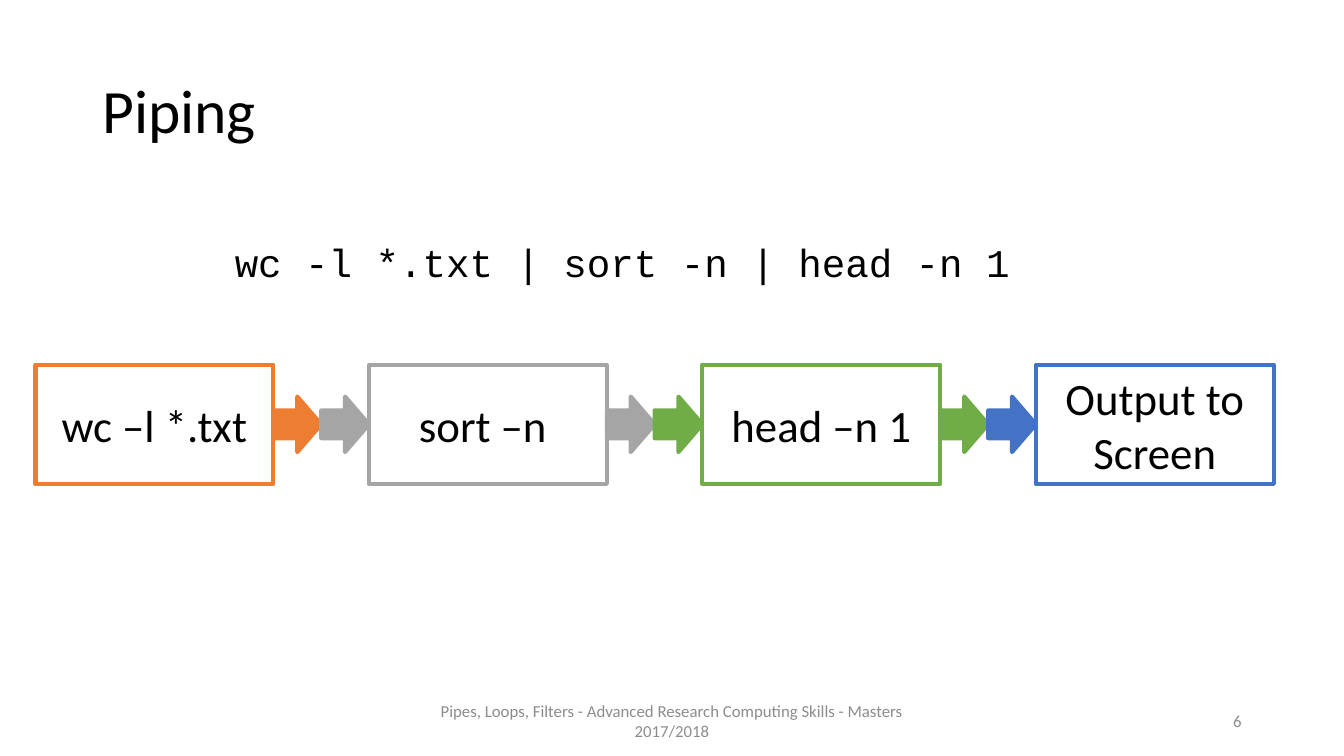
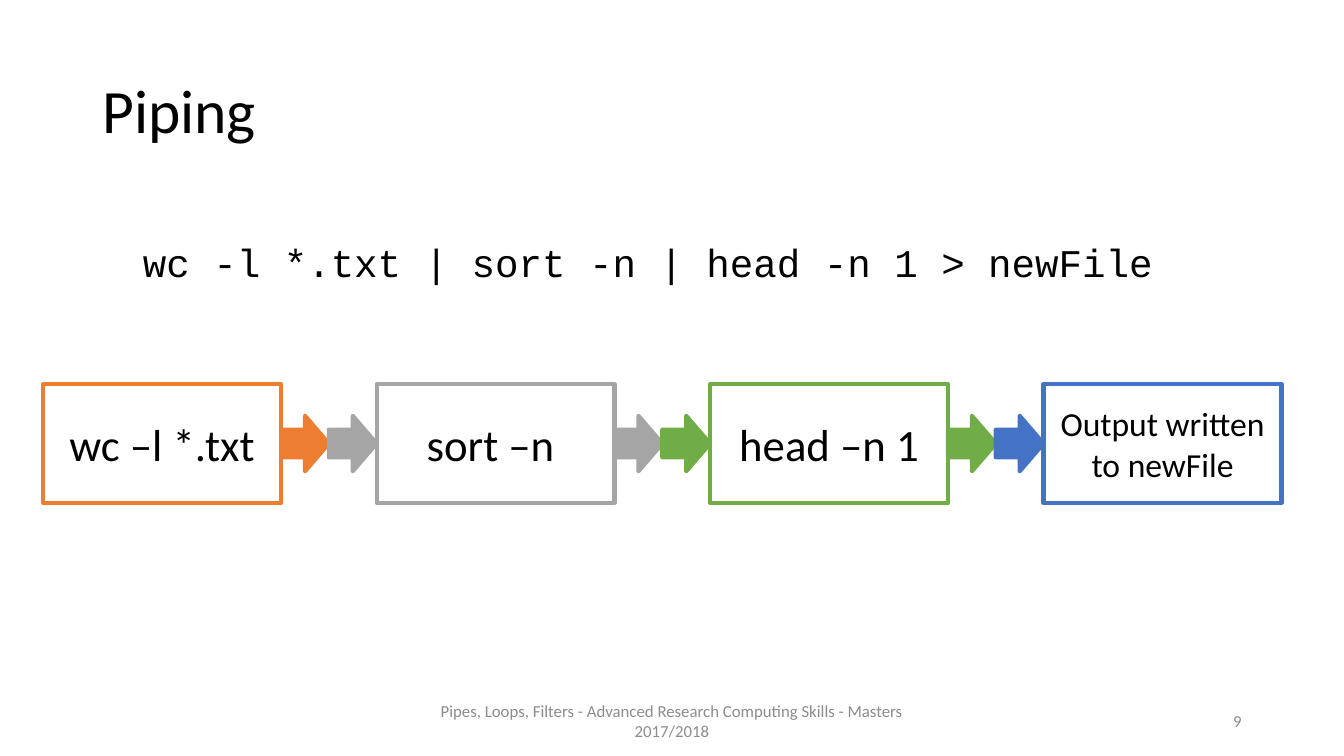
"""Build two slides that show shell commands joined by pipes."""
from pptx import Presentation
from pptx.dml.color import RGBColor
from pptx.enum.shapes import MSO_SHAPE
from pptx.enum.text import MSO_ANCHOR, MSO_AUTO_SIZE, PP_ALIGN
from pptx.util import Pt

TITLE = "Piping"
FOOTER = "Pipes, Loops, Filters - Advanced Research Computing Skills - Masters 2017/2018"
COMMANDS = [("wc –l *.txt", "orange"), ("sort –n ", "gray"), ("head –n 1", "green")]
SLIDES = [
    {"number": "6", "command": "wc -l *.txt | sort -n | head -n 1",
     "command_left": 124.6, "command_width": 617.8,
     "output": "Output to Screen", "output_size": 32, "flow_at": (25.3, 260.6)},
    {"number": "9", "command": "wc -l *.txt | sort -n | head -n 1 > newFile",
     "command_left": 59, "command_width": 790,
     "output": "Output written to newFile", "output_size": 24, "flow_at": (30.8, 274.3)},
]

COLORS = {"black": "000000", "white": "FFFFFF", "footer": "8C8C8C", "orange": "ED7D31",
          "gray": "A5A5A5", "green": "70AD47", "blue": "4472C4"}
BODY_FONT, CODE_FONT = "Calibri", "Courier New"
STAGE_WIDTH, STAGE_HEIGHT = 170, 85
ARROW_WIDTH, ARROW_HEIGHT = 34.1, 39.6
BORDER = 3


def color(name):
    return RGBColor.from_string(COLORS[name])


def write(holder, text, size=32, font=BODY_FONT, ink="black", align=PP_ALIGN.LEFT,
          anchor=MSO_ANCHOR.MIDDLE, spacing=1.0, indent=0):
    frame = holder.text_frame
    frame.word_wrap = True
    frame.vertical_anchor = anchor
    paragraph = frame.paragraphs[0]
    paragraph.alignment = align
    paragraph.line_spacing = spacing
    if indent:
        paragraph.level = 1
        paragraph._p.get_or_add_pPr().set("marL", str(Pt(indent)))
    run = paragraph.add_run()
    run.text = text
    run.font.size = Pt(size)
    run.font.name = font
    run.font.color.rgb = color(ink)
    return frame


def text_box(slide, box, text, **style):
    return write(slide.shapes.add_textbox(*map(Pt, box)), text, **style)


def block(flow, preset, box, fill, line):
    shape = flow.shapes.add_shape(preset, *map(Pt, box))
    shape.shadow.inherit = False
    shape.fill.solid()
    shape.fill.fore_color.rgb = color(fill)
    shape.line.color.rgb = color(line)
    shape.line.width = Pt(BORDER)
    return shape


def draw_flow(slide, stages, left, top):
    flow = slide.shapes.add_group_shape()
    pitch = STAGE_WIDTH + 2 * ARROW_WIDTH
    arrow_top = top + (STAGE_HEIGHT - ARROW_HEIGHT) / 2
    for index, (label, tint, size) in enumerate(stages):
        stage_box = (left + index * pitch, top, STAGE_WIDTH, STAGE_HEIGHT)
        stage = block(flow, MSO_SHAPE.RECTANGLE, stage_box, "white", tint)
        write(stage, label, size=size, align=PP_ALIGN.CENTER)
    for index, (sender, receiver) in enumerate(zip(stages, stages[1:])):
        gap_left = left + index * pitch + STAGE_WIDTH
        for half, (_, tint, _) in enumerate((sender, receiver)):
            arrow_box = (gap_left + half * ARROW_WIDTH, arrow_top, ARROW_WIDTH, ARROW_HEIGHT)
            block(flow, MSO_SHAPE.RIGHT_ARROW, arrow_box, tint, tint)


def draw_common(slide, number):
    text_box(slide, (66, 28.8, 828, 104.4), TITLE, size=44, spacing=0.9)
    text_box(slide, (282, 500.5, 396, 28.8), FOOTER, size=12, ink="footer",
             align=PP_ALIGN.CENTER)
    text_box(slide, (678, 500.5, 216, 28.8), number, size=12, ink="footer",
             align=PP_ALIGN.RIGHT)


deck = Presentation()
deck.slide_width, deck.slide_height = Pt(960), Pt(540)
for content in SLIDES:
    slide = deck.slides.add_slide(deck.slide_layouts[6])
    draw_common(slide, content["number"])
    stages = [(label, tint, 32) for label, tint in COMMANDS]
    stages.append((content["output"], "blue", content["output_size"]))
    draw_flow(slide, stages, *content["flow_at"])
    command = text_box(slide, (content["command_left"], 167, content["command_width"], 41),
                       content["command"], size=28, font=CODE_FONT,
                       anchor=MSO_ANCHOR.TOP, indent=36)
    command.auto_size = MSO_AUTO_SIZE.SHAPE_TO_FIT_TEXT
deck.save("out.pptx")
